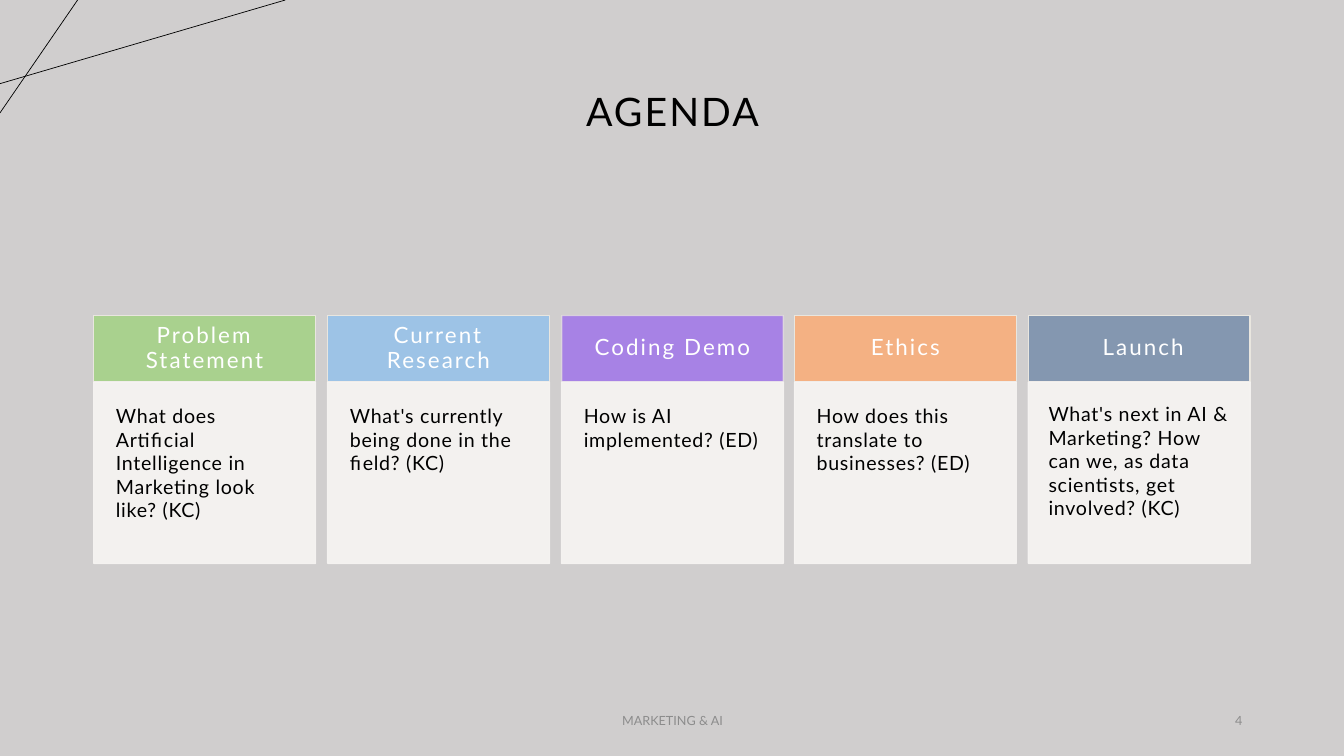
import pptx
import pptx.util
import pptx.dml.color
import pptx.enum.shapes
import pptx.enum.text
import pptx.oxml
import pptx.oxml.ns
from dataclasses import dataclass

Align = pptx.enum.text.PP_ALIGN
Anchor = pptx.enum.text.MSO_ANCHOR


@dataclass(frozen=True)
class Theme:
    font: str = "Lato"
    back: str = "D0CECE"
    ink: str = "000000"
    white: str = "FFFFFF"
    edge: str = "E9E6DF"
    panel: str = "F7F5F3"
    muted: str = "8C8C8C"
    title: int = 28
    head: int = 16
    body: int = 14
    foot: int = 9


THEME = Theme()

# Heading, heading fill, opacity in percent, question, body inset in px
TOPICS = [
    ("Problem Statement", "A9D18E", 100,
     "What does Artificial Intelligence in Marketing look like? (KC)", 22),
    ("Current Research", "9DC3E6", 100,
     "What's currently being done in the field? (KC)", 22),
    ("Coding Demo", "9662F0", 70,
     "How is AI implemented? (ED)", 22),
    ("Ethics", "F4B183", 100,
     "How does this translate to businesses? (ED)", 22),
    (" Launch", "8497B0", 100,
     "What's next in AI & Marketing? How can we, as data scientists, "
     "get involved? (KC)", 20),
]

# Card row, in px (100 px to the inch)
FIRST, LAST, TOP = 93, 1020, 313
WIDE, HEAD, BODY = 220, 66, 180


def px(size):
    return pptx.util.Emu(round(size * 9144))


def tint(code):
    return pptx.dml.color.RGBColor.from_string(code)


def fade(shape, rate):
    """Set the opacity of fill and line, in percent."""
    for clr in shape.element.spPr.iter(pptx.oxml.ns.qn("a:srgbClr")):
        alpha = pptx.oxml.parse_xml(
            f'<a:alpha {pptx.oxml.ns.nsdecls("a")} val="{rate * 1000}"/>')
        clr.append(alpha)


def write(shape, text, size, color, align, anchor=Anchor.MIDDLE,
          inset=None, track=0, lead=None):
    frame = shape.text_frame
    frame.word_wrap = True
    frame.vertical_anchor = anchor
    if inset is not None:
        frame.margin_left = frame.margin_right = px(inset)
        frame.margin_top = frame.margin_bottom = px(inset)
    para = frame.paragraphs[0]
    para.alignment = align
    if lead:
        para.line_spacing = lead
    para.font.name = THEME.font
    para.font.size = pptx.util.Pt(size)
    para.font.color.rgb = tint(color)
    run = para.add_run()
    run.text = text
    if track:
        run.font._element.set("spc", str(round(track * 100)))


def block(slide, left, top, high, fill, line):
    shape = slide.shapes.add_shape(
        pptx.enum.shapes.MSO_SHAPE.RECTANGLE,
        px(left), px(top), px(WIDE), px(high))
    shape.shadow.inherit = False
    shape.fill.solid()
    shape.fill.fore_color.rgb = tint(fill)
    shape.line.color.rgb = tint(line)
    shape.line.width = pptx.util.Pt(1)
    return shape


def card(slide, left, name, fill, rate, ask, inset):
    head = block(slide, left, TOP, HEAD, fill, THEME.edge)
    if rate < 100:
        fade(head, rate)
    write(head, name, THEME.head, THEME.white, Align.CENTER,
          inset=17, track=1.5, lead=0.9)
    body = block(slide, left, TOP + HEAD, BODY, THEME.panel, THEME.panel)
    fade(body, 90)
    write(body, ask, THEME.body, THEME.ink, Align.LEFT, Anchor.TOP,
          inset=inset, track=0.5)


def line(slide, x1, y1, x2, y2):
    rule = slide.shapes.add_connector(
        pptx.enum.shapes.MSO_CONNECTOR.STRAIGHT,
        px(x1), px(y1), px(x2), px(y2))
    rule.line.color.rgb = tint(THEME.ink)
    rule.line.width = pptx.util.Pt(0.5)
    rule.element.spPr.append(pptx.oxml.parse_xml(
        f'<a:effectLst {pptx.oxml.ns.nsdecls("a")}/>'))


def title(slide, text):
    shape = slide.shapes.title
    shape.left, shape.top = px(92), px(40)
    shape.width, shape.height = px(1150), px(145)
    write(shape, text, THEME.title, THEME.ink, Align.CENTER,
          track=1.5, lead=0.9)


def foot(slide, left, wide, text, align):
    box = slide.shapes.add_textbox(px(left), px(695), px(wide), px(40))
    write(box, text, THEME.foot, THEME.muted, align)


def main():
    deck = pptx.Presentation()
    deck.slide_width, deck.slide_height = px(1333), px(750)
    slide = deck.slides.add_slide(deck.slide_layouts[5])
    slide.background.fill.solid()
    slide.background.fill.fore_color.rgb = tint(THEME.back)

    # Corner lines
    line(slide, 0, 83, 283, 0)
    line(slide, 77, 0, 0, 112)

    title(slide, "AGENDA")

    # Agenda cards, spread evenly
    step = (LAST - FIRST) / (len(TOPICS) - 1)
    for i, topic in enumerate(TOPICS):
        card(slide, FIRST + round(i * step), *topic)

    # Footer and page number
    foot(slide, 442, 450, "MARKETING & AI", Align.CENTER)
    foot(slide, 942, 300, "4", Align.RIGHT)

    deck.save("out.pptx")


if __name__ == "__main__":
    main()
